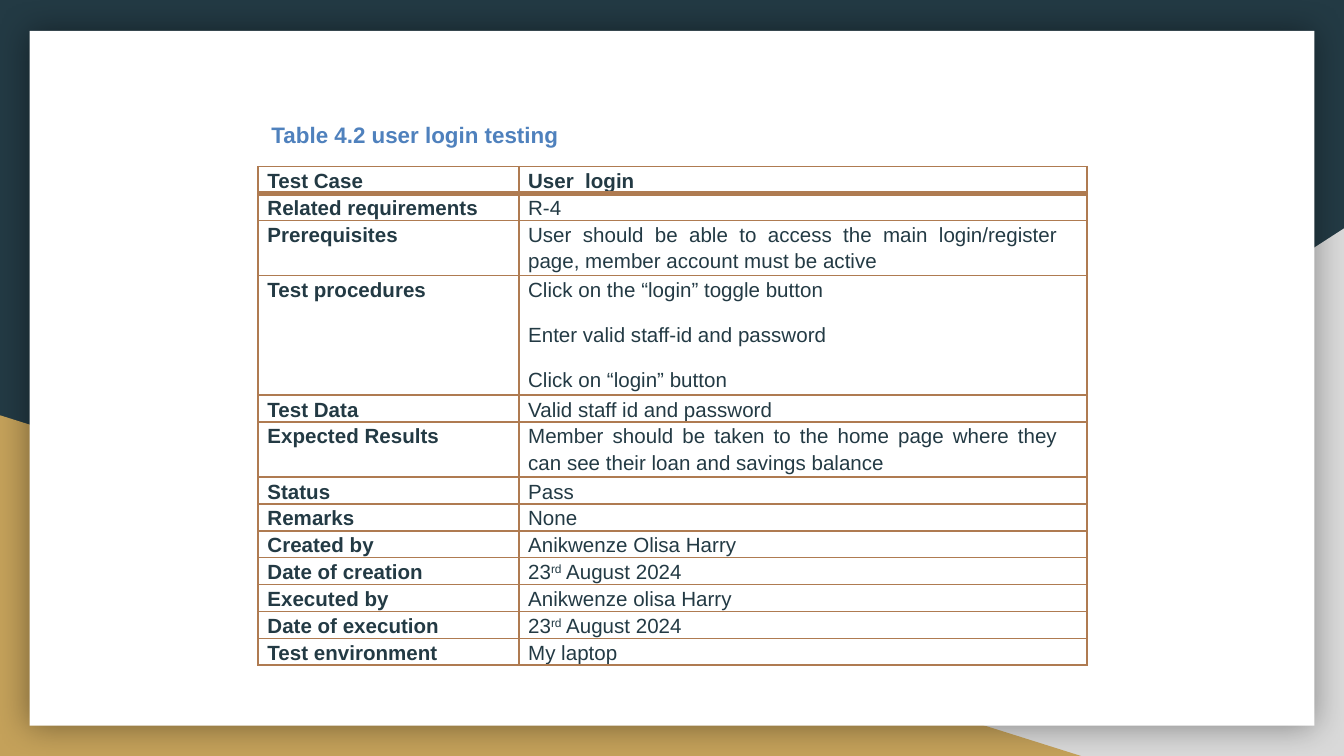
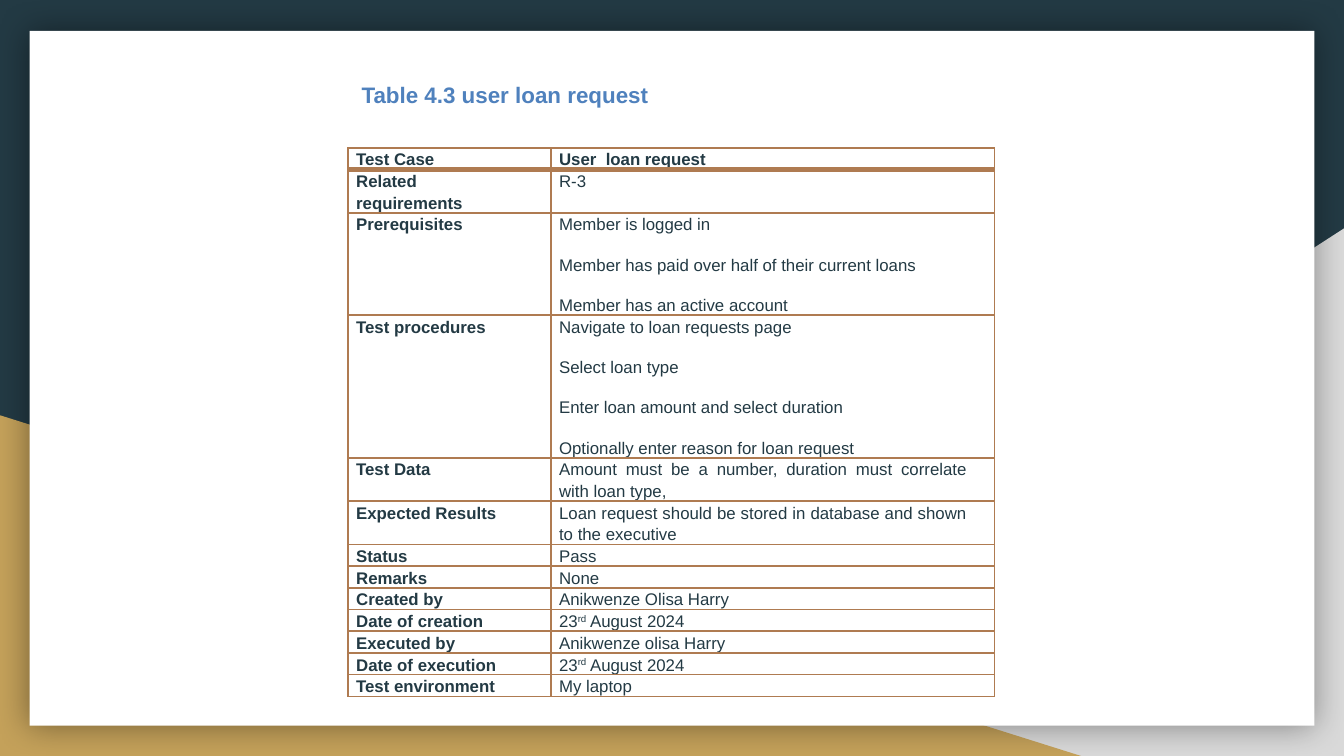
from lxml.etree import SubElement
from pptx import Presentation
from pptx.dml.color import RGBColor
from pptx.enum.shapes import MSO_SHAPE as Preset
from pptx.enum.text import MSO_ANCHOR as Anchor, PP_ALIGN as Align
from pptx.oxml import parse_xml
from pptx.oxml.ns import nsdecls, qn
from pptx.util import Inches, Pt

NAVY = RGBColor(0x23, 0x3A, 0x44)
GREY = RGBColor(0xD9, 0xD9, 0xD9)
GOLD = RGBColor(0xC4, 0xA1, 0x5A)
WHITE = RGBColor(0xFF, 0xFF, 0xFF)
BROWN = RGBColor(0xAF, 0x7B, 0x51)
BLUE = RGBColor(0x4F, 0x81, 0xBD)
FONT = "Arial"
SLIDE_WIDTH = 10
SLIDE_HEIGHT = SLIDE_WIDTH * 9 / 16
TITLE_HEIGHT = 0.5
TEXT_RIGHT_INDENT = 0.15

DATE = [("23", False), ("rd", True), (" August 2024", False)]
CLOSING_ROWS = [
    ("Status", ["Pass"]),
    ("Remarks", ["None"]),
    ("Created by", ["Anikwenze Olisa Harry"]),
    ("Date of creation", [DATE]),
    ("Executed by", ["Anikwenze olisa Harry"]),
    ("Date of execution", [DATE]),
    ("Test environment", ["My laptop"]),
]

TEST_CASES = [
    {
        "title": "Table 4.2 user login testing", "title_top": 0.75,
        "left": 1.92, "top": 1.24, "columns": (1.94, 4.23),
        "size": 11, "inset": 0.07, "row_height": 0.2,
        "tall_rows": {2: 0.41, 3: 0.89, 5: 0.41},
        "rows": [
            ("Test Case", ["User  login"]),
            ("Related requirements", ["R-4"]),
            ("Prerequisites", ["User should be able to access the main login/register "
                               "page, member account must be active"]),
            ("Test procedures", ["Click on the “login” toggle button",
                                 "Enter valid staff-id and password",
                                 "Click on “login” button"]),
            ("Test Data", ["Valid staff id and password"]),
            ("Expected Results", ["Member should be taken to the home page where they "
                                  "can see their loan and savings balance"]),
        ],
    },
    {
        "title": "Table 4.3 user loan request", "title_top": 0.45,
        "left": 2.59, "top": 1.1, "columns": (1.51, 3.3),
        "size": 9, "inset": 0.06, "row_height": 0.16,
        "tall_rows": {2: 0.7, 3: 0.97, 4: 0.32, 5: 0.32},
        "rows": [
            ("Test Case", ["User  loan request"]),
            ("Related requirements", ["R-3"]),
            ("Prerequisites", ["Member is logged in",
                               "Member has paid over half of their current loans",
                               "Member has an active account"]),
            ("Test procedures", ["Navigate to loan requests page",
                                 "Select loan type",
                                 "Enter loan amount and select duration",
                                 "Optionally enter reason for loan request"]),
            ("Test Data", ["Amount must be a number, duration must correlate "
                           "with loan type,"]),
            ("Expected Results", ["Loan request should be stored in database and shown "
                                  "to the executive"]),
        ],
    },
]


def set_format(target, **values):
    for name, value in values.items():
        setattr(target, name, value)


def add_span(para, text, size, color, bold, raised=False):
    span = para.add_run()
    span.text = text
    set_format(span.font, name=FONT, size=Pt(size), bold=bold)
    span.font.color.rgb = color
    if raised:
        span.font._element.set("baseline", "30000")


def add_backdrop(slide, layout):
    """Draw the triangles and the card, then hand them to the layout."""
    parts = [
        (Preset.RIGHT_TRIANGLE, (3.92, 1.7, 6.08, 3.93), GREY),
        (Preset.RIGHT_TRIANGLE, (0, 3.09, 8.06, 2.54), GOLD),
        (Preset.RECTANGLE, (0.22, 0.23, 9.56, 5.17), WHITE),
    ]
    shapes = []
    for preset, box, color in parts:
        shape = slide.shapes.add_shape(preset, *map(Inches, box))
        shape.shadow.inherit = False
        shape.fill.solid()
        shape.fill.fore_color.rgb = color
        shape.line.fill.background()
        shapes.append(shape)
    grey_triangle, _, card = shapes
    grey_triangle._element.spPr.find(qn("a:xfrm")).set("flipH", "1")
    effects = card._element.spPr.find(qn("a:effectLst"))
    effects.append(parse_xml(
        f'<a:outerShdw {nsdecls("a")} blurRad="{Pt(18)}" dist="0" dir="0" algn="ctr" '
        'rotWithShape="0"><a:srgbClr val="000000"><a:alpha val="40000"/></a:srgbClr>'
        '</a:outerShdw>'))
    for index, shape in enumerate(shapes):
        shape._element.nvSpPr.cNvPr.set("id", str(20 + index))
        layout.shapes._spTree.insert(2 + index, shape._element)


def format_title(title, text, left, top, width):
    set_format(title, left=Inches(left), top=Inches(top),
               width=Inches(width), height=Inches(TITLE_HEIGHT))
    frame = title.text_frame
    set_format(frame, vertical_anchor=Anchor.MIDDLE, word_wrap=False)
    para = frame.paragraphs[0]
    para.alignment = Align.LEFT
    add_span(para, text, 12, BLUE, True)


def add_borders(cell, row):
    """Thin lines all round, with a thick rule under the header row."""
    thick = {"lnB"} if row == 0 else {"lnT"} if row == 1 else set()
    properties = cell._tc.get_or_add_tcPr()
    for index, side in enumerate(("lnL", "lnR", "lnT", "lnB")):
        line = SubElement(properties, qn(f"a:{side}"),
                          w=str(Pt(3 if side in thick else 1)))
        fill = SubElement(line, qn("a:solidFill"))
        SubElement(fill, qn("a:srgbClr"), val=str(BROWN))
        properties.insert(index, line)


def fill_cell(cell, texts, size, inset, bold):
    set_format(cell, margin_left=Inches(inset), margin_right=Inches(inset),
               margin_top=0, margin_bottom=0)
    cell.fill.solid()
    cell.fill.fore_color.rgb = WHITE
    frame = cell.text_frame
    for index, text in enumerate(texts):
        para = frame.add_paragraph() if index else frame.paragraphs[0]
        set_format(para, alignment=Align.JUSTIFY, line_spacing=1.15, space_after=Pt(10))
        para._p.get_or_add_pPr().set("marR", str(Inches(TEXT_RIGHT_INDENT)))
        spans = [(text, False)] if isinstance(text, str) else text
        for part, raised in spans:
            add_span(para, part, size, NAVY, bold, raised)


def add_test_table(slide, case):
    rows = case["rows"] + CLOSING_ROWS
    heights = [case["tall_rows"].get(i, case["row_height"]) for i in range(len(rows))]
    box = (case["left"], case["top"], sum(case["columns"]), sum(heights))
    table = slide.shapes.add_table(len(rows), 2, *map(Inches, box)).table
    set_format(table, first_row=False, horz_banding=False)
    for column, width in zip(table.columns, case["columns"]):
        column.width = Inches(width)
    for index, (label, values) in enumerate(rows):
        table.rows[index].height = Inches(heights[index])
        for column, texts in enumerate(([label], values)):
            cell = table.cell(index, column)
            bold = column == 0 or index == 0
            fill_cell(cell, texts, case["size"], case["inset"], bold)
            add_borders(cell, index)


def add_test_slide(deck, layout, case):
    slide = deck.slides.add_slide(layout)
    format_title(slide.shapes.title, case["title"], case["left"],
                 case["title_top"], sum(case["columns"]))
    add_test_table(slide, case)
    return slide


def main():
    deck = Presentation()
    set_format(deck, slide_width=Inches(SLIDE_WIDTH), slide_height=Inches(SLIDE_HEIGHT))
    background = deck.slide_master.background.fill
    background.solid()
    background.fore_color.rgb = NAVY
    layout = deck.slide_layouts.get_by_name("Title Only")
    slides = [add_test_slide(deck, layout, case) for case in TEST_CASES]
    add_backdrop(slides[0], layout)
    deck.save("out.pptx")


if __name__ == "__main__":
    main()
